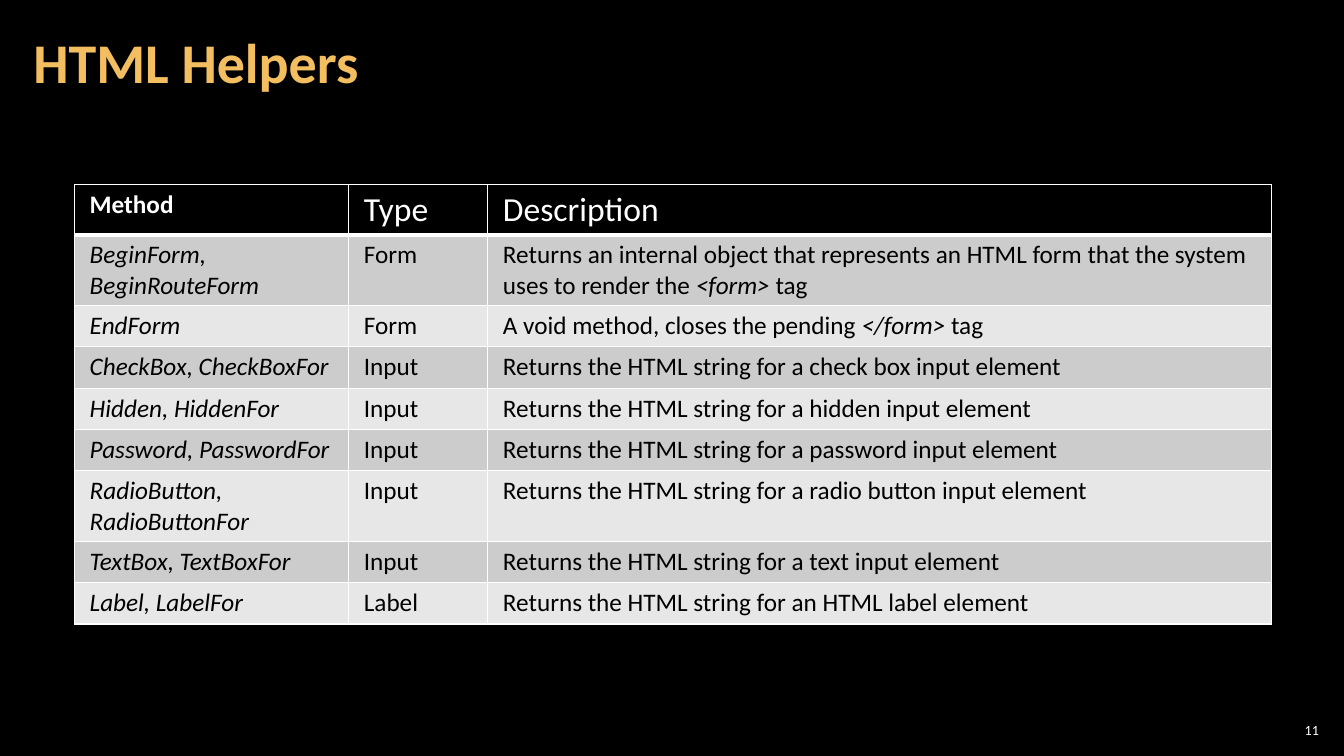
import dataclasses
import typing

import lxml.etree
import pptx
import pptx.dml.color
import pptx.enum.text
import pptx.oxml.ns
import pptx.util

FONT = "Calibri"
HUES = {
    "black": "000000",
    "white": "FFFFFF",
    "gold": "F3BE60",
    "dark": "CCCCCC",
    "light": "E7E7E7",
}
WIDE, HIGH = pptx.util.Inches(13.33), pptx.util.Inches(7.5)


@dataclasses.dataclass
class Run:
    text: str
    size: float = 18
    hue: str = "black"
    bold: bool = False
    slant: bool = False


@dataclasses.dataclass
class Box:
    """Place in percent of the slide's width and height."""
    left: float
    top: float
    width: float
    height: float

    def place(self) -> tuple[int, int, int, int]:
        return across(self.left), down(self.top), across(self.width), down(self.height)


@dataclasses.dataclass
class Label:
    box: Box
    run: Run
    align: pptx.enum.text.PP_ALIGN
    inset: float
    space: float = 1.0


@dataclasses.dataclass
class Helper:
    names: list[str]
    kind: str
    note: list[Run]


Lines = list[list[Run]]


def across(share: float) -> int:
    return round(WIDE * share / 100)


def down(share: float) -> int:
    return round(HIGH * share / 100)


def color(hue: str) -> pptx.dml.color.RGBColor:
    return pptx.dml.color.RGBColor.from_string(HUES[hue])


def write(frame: typing.Any, lines: Lines) -> None:
    for spot, runs in enumerate(lines):
        para = frame.add_paragraph() if spot else frame.paragraphs[0]
        for run in runs:
            part = para.add_run()
            part.text = run.text
            font = part.font
            font.name, font.size = FONT, pptx.util.Pt(run.size)
            font.bold, font.italic = run.bold, run.slant
            font.color.rgb = color(run.hue)


def draw_label(slide: typing.Any, label: Label) -> None:
    frame = slide.shapes.add_textbox(*label.box.place()).text_frame
    frame.word_wrap = True
    frame.vertical_anchor = pptx.enum.text.MSO_ANCHOR.MIDDLE
    frame.margin_left = frame.margin_right = pptx.util.Inches(label.inset)
    frame.margin_top = frame.margin_bottom = pptx.util.Inches(0.04)
    write(frame, [[label.run]])
    frame.paragraphs[0].alignment = label.align
    frame.paragraphs[0].line_spacing = label.space


def edge(cell: typing.Any, base: float) -> None:
    props = cell._tc.get_or_add_tcPr()
    name = pptx.oxml.ns.qn
    sides = {"a:lnL": 1, "a:lnR": 1, "a:lnT": 1, "a:lnB": base}
    for spot, (side, width) in enumerate(sides.items()):
        line = lxml.etree.Element(name(side), w=str(pptx.util.Pt(width)))
        fill = lxml.etree.SubElement(line, name("a:solidFill"))
        lxml.etree.SubElement(fill, name("a:srgbClr"), val=HUES["white"])
        props.insert(spot, line)


def draw_cell(cell: typing.Any, lines: Lines, hue: str, base: float) -> None:
    cell.margin_left = cell.margin_right = pptx.util.Inches(0.15)
    cell.margin_top = cell.margin_bottom = pptx.util.Inches(0.05)
    cell.fill.solid()
    cell.fill.fore_color.rgb = color(hue)
    edge(cell, base)
    write(cell.text_frame, lines)


def draw_table(slide: typing.Any, box: Box, cols: list[float],
               head: list[Run], body: list[Helper]) -> None:
    count = len(body) + 1
    table = slide.shapes.add_table(count, len(cols), *box.place()).table
    table.first_row = table.horz_banding = False
    for col, share in zip(table.columns, cols):
        col.width = across(share)
    for row in table.rows:
        row.height = down(box.height / count)

    # Header row
    for spot, run in enumerate(head):
        draw_cell(table.cell(0, spot), [[run]], "black", 3)

    # Banded body rows
    for row, item in enumerate(body, 1):
        names = [[Run(name, slant=True)] for name in item.names]
        for spot, lines in enumerate([names, [[Run(item.kind)]], [item.note]]):
            draw_cell(table.cell(row, spot), lines, "dark" if row % 2 else "light", 1)


def tagged(lead: str, tag: str) -> list[Run]:
    return [Run(lead), Run(tag + " ", slant=True), Run("tag")]


def string(what: str) -> list[Run]:
    return [Run(f"Returns the HTML string for {what} element")]


TITLE = Label(Box(1.58, 0.53, 78.54, 16.13), Run("HTML Helpers", 40, "gold", True),
              pptx.enum.text.PP_ALIGN.LEFT, 0.12, 0.9)
NUMBER = Label(Box(94.9, 95.2, 3.53, 2.8), Run("11", 10, "white"),
               pptx.enum.text.PP_ALIGN.RIGHT, 0.04)
GRID = Box(5.55, 24.4, 89.05, 49.2)
COLS = [20.4, 10.35, 58.3]
HEAD = [Run("Method", 18, "white", True), Run("Type", 24, "white"),
        Run("Description", 24, "white")]
BODY = [
    Helper(["BeginForm,", "BeginRouteForm"], "Form",
           tagged("Returns an internal object that represents an HTML form "
                  "that the system uses to render the ", "<form>")),
    Helper(["EndForm"], "Form", tagged("A void method, closes the pending ", "</form>")),
    Helper(["CheckBox, CheckBoxFor"], "Input", string("a check box input")),
    Helper(["Hidden, HiddenFor"], "Input", string("a hidden input")),
    Helper(["Password, PasswordFor"], "Input", string("a password input")),
    Helper(["RadioButton,", "RadioButtonFor"], "Input", string("a radio button input")),
    Helper(["TextBox, TextBoxFor"], "Input", string("a text input")),
    Helper(["Label, LabelFor"], "Label", string("an HTML label")),
]


def main() -> None:
    deck = pptx.Presentation()
    deck.slide_width, deck.slide_height = WIDE, HIGH
    slide = deck.slides.add_slide(deck.slide_layouts[6])
    slide.background.fill.solid()
    slide.background.fill.fore_color.rgb = color("black")

    draw_label(slide, NUMBER)
    draw_table(slide, GRID, COLS, HEAD, BODY)
    draw_label(slide, TITLE)
    deck.save("out.pptx")


if __name__ == "__main__":
    main()
